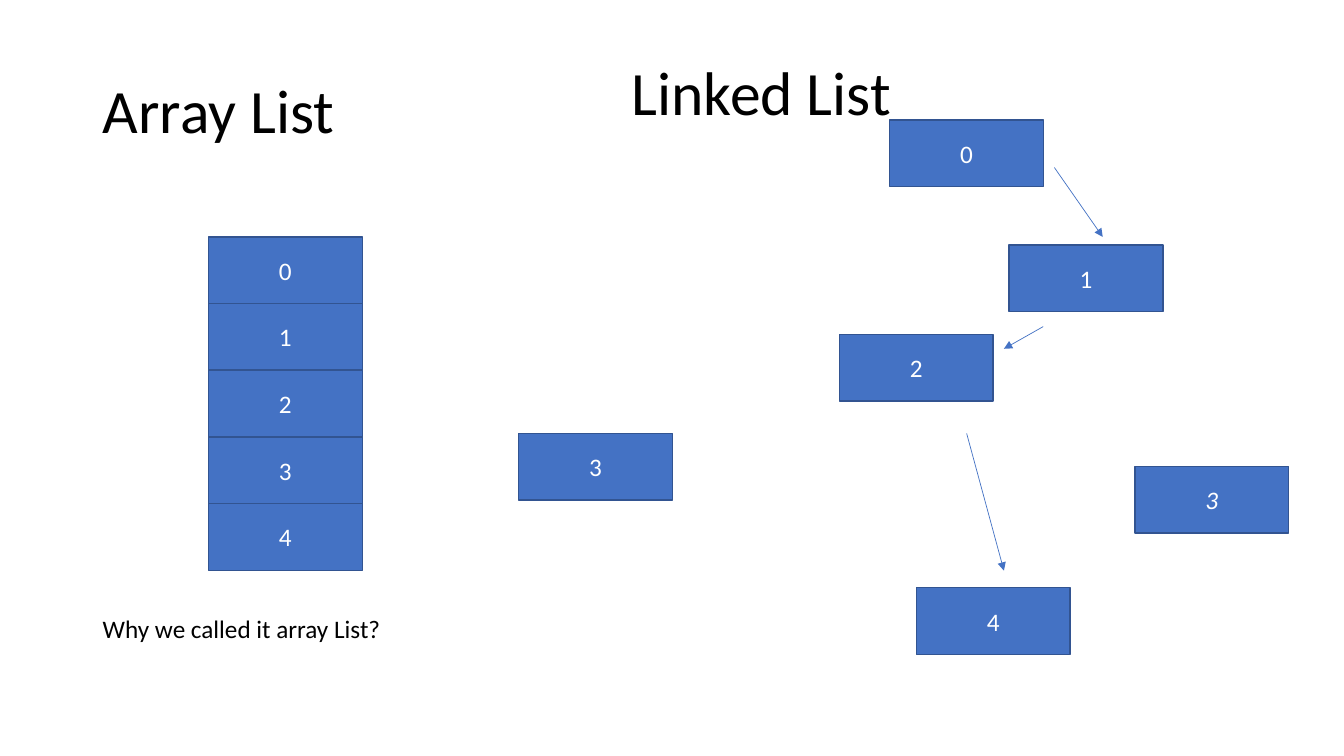
"""Build a slide that contrasts an array list with a linked list."""
from lxml.etree import SubElement
from pptx import Presentation
from pptx.dml.color import RGBColor
from pptx.enum.shapes import MSO_CONNECTOR as LINK, MSO_SHAPE as SHAPE
from pptx.enum.text import MSO_ANCHOR as ANCHOR, PP_ALIGN as ALIGN
from pptx.oxml.ns import qn
from pptx.util import Cm, Pt

COLORS = {name: RGBColor.from_string(value) for name, value in {
    "node": "4472C4", "border": "325491", "value": "FFFFFF", "text": "000000"}.items()}
NODE_WIDTH, NODE_HEIGHT = 3.88, 1.68
ARRAY_LEFT, ARRAY_TOP = 5.25, 5.97


def write(holder, text, size, color, anchor):
    frame = holder.text_frame
    frame.word_wrap = True
    frame.vertical_anchor = anchor
    frame.text = text
    font = frame.paragraphs[0].runs[0].font
    font.name, font.size, font.color.rgb = "Calibri", Pt(size), COLORS[color]
    return frame.paragraphs[0]


def add_node(value, left, top):
    node = slide.shapes.add_shape(
        SHAPE.RECTANGLE, Cm(left), Cm(top), Cm(NODE_WIDTH), Cm(NODE_HEIGHT))
    node.shadow.inherit = False
    node.fill.solid()
    node.fill.fore_color.rgb = COLORS["node"]
    node.line.color.rgb = COLORS["border"]
    node.line.width = Pt(1)
    label = write(node, value, 18, "value", ANCHOR.MIDDLE)
    label.alignment = ALIGN.CENTER
    return label


deck = Presentation()
deck.slide_width, deck.slide_height = Cm(33.87), Cm(19.05)
slide = deck.slides.add_slide(deck.slide_layouts[6])

for heading, left, top in [("Array List", 2.34, 1.02), ("Linked List", 15.67, 0.56)]:
    title = slide.shapes.add_textbox(Cm(left), Cm(top), Cm(8.26), Cm(3.68))
    write(title, heading, 44, "text", ANCHOR.MIDDLE).line_spacing = 0.9

for index in range(5):
    add_node(str(index), ARRAY_LEFT, ARRAY_TOP + index * NODE_HEIGHT)
add_node("3", 13.07, 10.92)

for value, left, top in [("0", 22.42, 3.02), ("1", 25.43, 6.17),
                         ("2", 21.15, 8.43), ("4", 23.09, 14.81)]:
    add_node(value, left, top)
unlinked = add_node("3", 28.6, 11.75)
unlinked.runs[0].font.italic = True

for ends in [(26.57, 4.22, 27.79, 5.97), (26.29, 8.23, 25.3, 8.79),
             (24.36, 10.92, 25.3, 14.38)]:
    pointer = slide.shapes.add_connector(LINK.STRAIGHT, *map(Cm, ends))
    pointer.line.color.rgb = COLORS["node"]
    pointer.line.width = Pt(0.5)
    SubElement(pointer.line._get_or_add_ln(), qn("a:tailEnd"), type="triangle")
    SubElement(pointer._element.spPr, qn("a:effectLst"))

question = slide.shapes.add_textbox(Cm(2.34), Cm(15.32), Cm(13.64), Cm(1.02))
write(question, "Why we called it array List?", 18, "text", ANCHOR.TOP)

deck.save("out.pptx")
